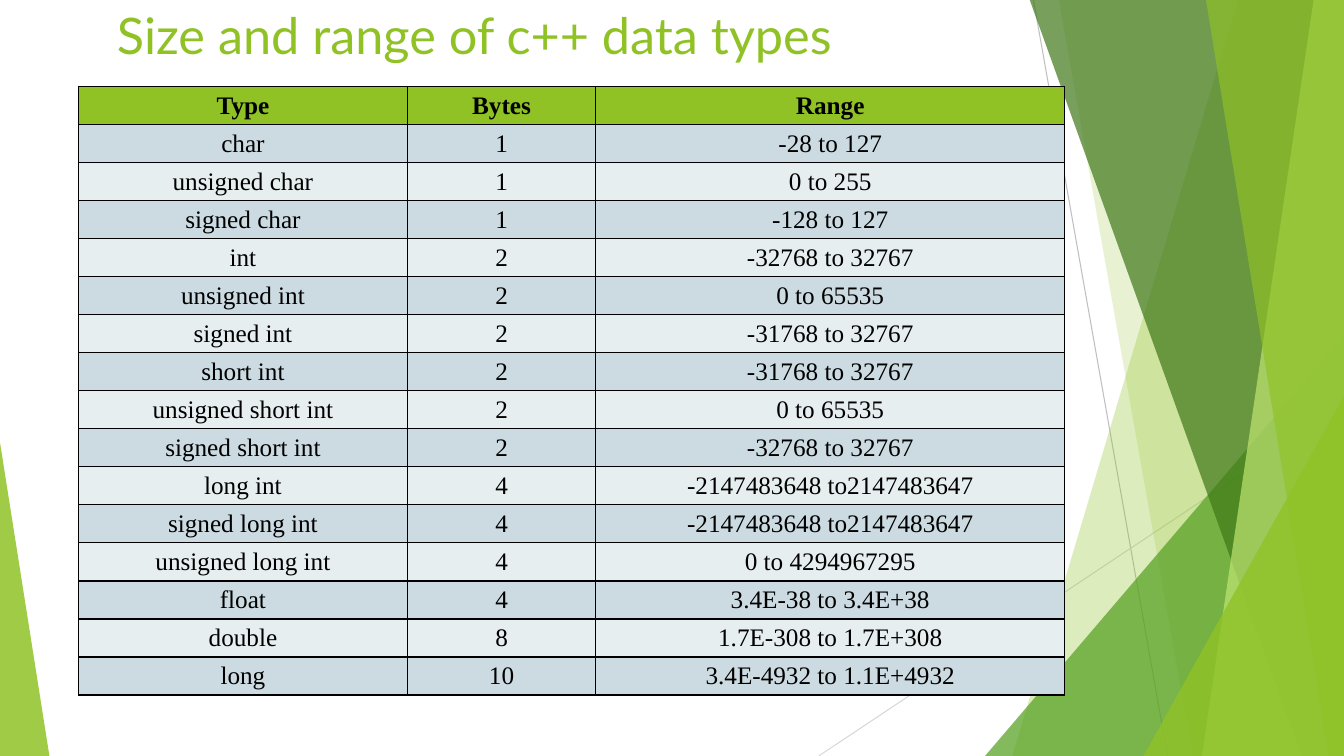
from dataclasses import dataclass

from lxml import etree
from pptx import Presentation
from pptx.dml.color import RGBColor
from pptx.enum.shapes import MSO_CONNECTOR, MSO_SHAPE
from pptx.enum.text import MSO_ANCHOR, MSO_AUTO_SIZE, PP_ALIGN
from pptx.oxml.ns import qn
from pptx.util import Inches, Pt

STRAIGHT = MSO_CONNECTOR.STRAIGHT
TRIANGLE = MSO_SHAPE.ISOSCELES_TRIANGLE
TOP, NO_AUTOFIT = MSO_ANCHOR.TOP, MSO_AUTO_SIZE.NONE
LEFT, CENTER = PP_ALIGN.LEFT, PP_ALIGN.CENTER

SLIDE_W, SLIDE_H = 13.33, 7.5
BAND_TOP = -0.01


@dataclass(frozen=True)
class Theme:
    green: str = "90C226"
    mid_green: str = "54A021"
    dark_green: str = "3F7818"
    pale_green: str = "BFE471"
    line_dark: str = "BFBFBF"
    line_light: str = "D8D8D8"
    text: str = "000000"
    row_dark: str = "CCDBE1"
    row_light: str = "E7EEF0"
    title_font: str = "Lato"
    table_font: str = "Times New Roman"
    title_size: int = 36
    table_size: int = 18
    hairline: float = 0.75
    border: int = 1


THEME = Theme()


@dataclass(frozen=True)
class Ray:
    x1: float
    y1: float
    x2: float
    y2: float
    color: str


@dataclass(frozen=True)
class Band:
    """Full-height band from a slanted left edge to the slide's right edge."""
    top_x: float
    bottom_x: float
    color: str
    opacity: int


@dataclass(frozen=True)
class Wedge:
    """Triangle standing on the slide's bottom edge; apex 0 is left, 1 right."""
    x: float
    width: float
    height: float
    apex: int
    color: str
    opacity: int


RAYS = [
    Ray(10.25, 0, 11.58, SLIDE_H, THEME.line_dark),
    Ray(SLIDE_W, 4.03, 8.12, SLIDE_H, THEME.line_light),
]
FACETS = [
    Band(12.28, 10.04, THEME.green, 30),
    Band(10.5, 11.83, THEME.green, 20),
    Wedge(9.77, 3.56, 4.17, 1, THEME.mid_green, 72),
    Band(10.21, 12.91, THEME.dark_green, 70),
    Band(13.03, 11.92, THEME.pale_green, 70),
    Band(11.96, 13.18, THEME.green, 65),
    Wedge(11.34, 1.99, 3.57, 1, THEME.green, 80),
    Wedge(0, 0.49, 3.11, 0, THEME.green, 85),
]

COLUMN_WIDTHS = [3.26, 1.87, 4.65]
ROW_HEIGHT = 0.35
ROWS = [
    ("Type", "Bytes", "Range"),
    ("char", "1", "-28 to 127"),
    ("unsigned char", "1", "0 to 255"),
    ("signed char", "1", "-128 to 127"),
    ("int", "2", "-32768 to 32767"),
    ("unsigned int", "2", "0 to 65535"),
    ("signed int", "2", "-31768 to 32767"),
    ("short int", "2", "-31768 to 32767"),
    ("unsigned short int", "2", "0 to 65535"),
    ("signed short int", "2", "-32768 to 32767"),
    ("long int", "4", "-2147483648 to2147483647"),
    ("signed long int", "4", "-2147483648 to2147483647"),
    ("unsigned long int", "4", "0 to 4294967295"),
    ("float", "4", "3.4E-38 to 3.4E+38"),
    ("double", "8", "1.7E-308 to 1.7E+308"),
    ("long", "10", "3.4E-4932 to 1.1E+4932"),
]


def set_font(p, name: str, size: int, color: str, bold: bool = False) -> None:
    p.font.name = name
    p.font.size = Pt(size)
    p.font.bold = bold
    p.font.color.rgb = RGBColor.from_string(color)


def add_ray(slide, ray: Ray) -> None:
    line = slide.shapes.add_connector(
        STRAIGHT, Inches(ray.x1), Inches(ray.y1), Inches(ray.x2), Inches(ray.y2))
    line.line.color.rgb = RGBColor.from_string(ray.color)
    line.line.width = Pt(THEME.hairline)
    etree.SubElement(line.element.spPr, qn("a:effectLst"))


def add_band(slide, band: Band):
    builder = slide.shapes.build_freeform(Inches(band.top_x), Inches(BAND_TOP))
    corners = [(SLIDE_W, BAND_TOP), (SLIDE_W, SLIDE_H), (band.bottom_x, SLIDE_H)]
    builder.add_line_segments([(Inches(x), Inches(y)) for x, y in corners])
    return builder.convert_to_shape()


def add_wedge(slide, wedge: Wedge):
    sp = slide.shapes.add_shape(
        TRIANGLE, Inches(wedge.x), Inches(SLIDE_H - wedge.height),
        Inches(wedge.width), Inches(wedge.height))
    sp.adjustments[0] = wedge.apex
    return sp


def add_facet(slide, facet: Band | Wedge) -> None:
    sp = add_band(slide, facet) if isinstance(facet, Band) else add_wedge(slide, facet)
    sp.shadow.inherit = False
    sp.line.fill.background()
    sp.fill.solid()
    sp.fill.fore_color.rgb = RGBColor.from_string(facet.color)
    color = sp.element.spPr.find(qn("a:solidFill")).find(qn("a:srgbClr"))
    etree.SubElement(color, qn("a:alpha"), val=str(facet.opacity * 1000))


def format_title(slide, text: str) -> None:
    title = slide.shapes.title
    title.left, title.top = Inches(1.06), Inches(-0.01)
    title.width, title.height = Inches(11.33), Inches(1.75)
    tf = title.text_frame
    tf.text = text
    tf.word_wrap = True
    tf.auto_size = NO_AUTOFIT
    tf.vertical_anchor = TOP
    p = tf.paragraphs[0]
    p.alignment = LEFT
    set_font(p, THEME.title_font, THEME.title_size, THEME.green)
    slide.shapes.element.append(title.element)  # bring in front of the facets


def add_borders(cell) -> None:
    tc_pr = cell._tc.get_or_add_tcPr()
    for side in ("lnL", "lnR", "lnT", "lnB"):
        ln = etree.SubElement(tc_pr, qn(f"a:{side}"), w=str(Pt(THEME.border)))
        fill = etree.SubElement(ln, qn("a:solidFill"))
        etree.SubElement(fill, qn("a:srgbClr"), val=THEME.text)


def add_type_table(slide) -> None:
    table = slide.shapes.add_table(
        len(ROWS), len(COLUMN_WIDTHS), Inches(0.78), Inches(0.86),
        Inches(sum(COLUMN_WIDTHS)), Inches(ROW_HEIGHT * len(ROWS))).table
    for column, width in zip(table.columns, COLUMN_WIDTHS):
        column.width = Inches(width)
    for i, values in enumerate(ROWS):
        header = i == 0
        fill = THEME.green if header else THEME.row_dark if i % 2 else THEME.row_light
        for cell, value in zip(table.rows[i].cells, values):
            cell.text = value
            add_borders(cell)
            cell.fill.solid()
            cell.fill.fore_color.rgb = RGBColor.from_string(fill)
            p = cell.text_frame.paragraphs[0]
            p.alignment = CENTER
            set_font(p, THEME.table_font, THEME.table_size, THEME.text, header)


def main() -> None:
    prs = Presentation()
    prs.slide_width, prs.slide_height = Inches(SLIDE_W), Inches(SLIDE_H)
    slide = prs.slides.add_slide(prs.slide_layouts[5])
    for ray in RAYS:
        add_ray(slide, ray)
    for facet in FACETS:
        add_facet(slide, facet)
    format_title(slide, "Size and range of c++ data types")
    add_type_table(slide)
    prs.save("out.pptx")


if __name__ == "__main__":
    main()
